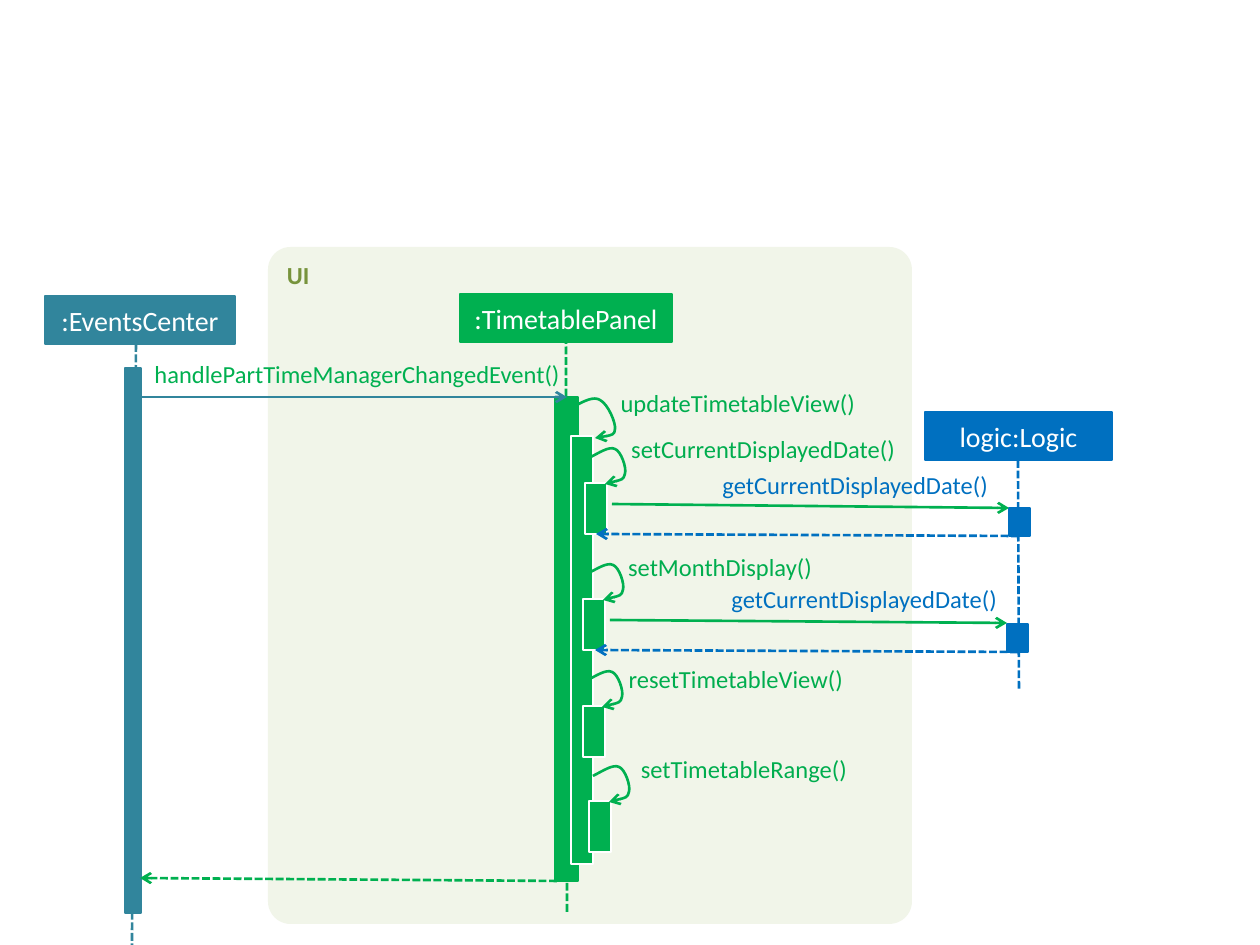
"""Build a sequence diagram of how the timetable panel refreshes its view."""
from lxml import etree
from pptx import Presentation
from pptx import util as u
from pptx.dml.color import RGBColor
from pptx.enum import dml, shapes, text
from pptx.oxml.ns import qn

PX = 914400 / 126
GREEN = RGBColor(0x00, 0xB0, 0x50)
LABEL_GREEN = RGBColor(0x00, 0xAD, 0x4E)
BLUE = RGBColor(0x00, 0x70, 0xC0)
TEAL = RGBColor(0x31, 0x85, 0x9C)
OLIVE = RGBColor(0x77, 0x93, 0x3C)
PALE = RGBColor(0xF1, 0xF5, 0xE9)
WHITE = RGBColor(0xFF, 0xFF, 0xFF)

deck = Presentation()
deck.slide_width, deck.slide_height = u.Inches(10), u.Inches(7.5)
page = deck.slides.add_slide(deck.slide_layouts[6])


def add_block(kind, bounds, fill, outline=None, width=0.75):
    block = page.shapes.add_shape(kind, *[round(v * PX) for v in bounds])
    block.shadow.inherit = False
    block.fill.solid()
    block.fill.fore_color.rgb = fill
    if outline is None:
        block.line.fill.background()
    else:
        block.line.color.rgb = outline
        block.line.width = u.Pt(width)
    return block


def write(shape, words, size, color, align):
    para = shape.text_frame.paragraphs[0]
    para.text = words
    para.alignment = align
    para.font.name = "Calibri"
    para.font.size = u.Pt(size)
    para.font.color.rgb = color
    return para


RECT = shapes.MSO_SHAPE.RECTANGLE
panel = add_block(shapes.MSO_SHAPE.ROUNDED_RECTANGLE, (268, 247, 644, 677), PALE)
panel.adjustments[0] = 0.035
panel.text_frame.vertical_anchor = text.MSO_ANCHOR.TOP
write(panel, "UI", 14, OLIVE, text.PP_ALIGN.LEFT).font.bold = True

for name, bounds, color in [
    (":EventsCenter", (45, 296, 190, 48), TEAL),
    (":TimetablePanel", (460, 294, 212, 48), GREEN),
    ("logic:Logic", (925, 412, 187, 48), BLUE),
]:
    participant = add_block(RECT, bounds, color, color, 1.5)
    participant.text_frame.vertical_anchor = text.MSO_ANCHOR.MIDDLE
    participant.text_frame.word_wrap = False
    write(participant, name, 16, WHITE, text.PP_ALIGN.CENTER)

lifelines = [
    (1018, 460, 1019, 689, BLUE, True, False),
    (566, 336, 567, 913, GREEN, True, False),
    (136, 344, 132, 945, TEAL, True, False),
]
messages = [
    (136, 397, 567, 397, TEAL, False, True),
    (612, 504, 1009, 508, GREEN, False, True),
    (1019, 536, 596, 534, BLUE, True, True),
    (610, 620, 1007, 623, GREEN, False, True),
    (1018, 652, 595, 650, BLUE, True, True),
    (557, 881, 140, 878, GREEN, True, True),
]
bars = [
    (1009, 508, 21, 28, BLUE, BLUE),
    (1007, 624, 21, 28, BLUE, BLUE),
    (555, 397, 23, 484, GREEN, GREEN),
    (125, 368, 16, 545, TEAL, TEAL),
    (571, 436, 22, 428, GREEN, WHITE),
    (585, 483, 22, 51, GREEN, WHITE),
    (583, 599, 22, 51, GREEN, WHITE),
    (583, 706, 22, 51, GREEN, WHITE),
    (589, 801, 22, 51, GREEN, WHITE),
]
for layer in (lifelines, bars, messages):
    if layer is bars:
        for left, top, width, height, fill, outline in bars:
            add_block(RECT, (left, top, width, height), fill, outline)
        continue
    for x1, y1, x2, y2, color, dashed, arrow in layer:
        line = page.shapes.add_connector(
            shapes.MSO_CONNECTOR.STRAIGHT, *[round(v * PX) for v in (x1, y1, x2, y2)]
        )
        line.line.color.rgb = color
        line.line.width = u.Pt(1.5)
        if dashed:
            line.line.dash_style = dml.MSO_LINE.SQUARE_DOT
        if arrow:
            etree.SubElement(line.line._get_or_add_ln(), qn("a:tailEnd"), type="arrow")
        etree.SubElement(line._element.spPr, qn("a:effectLst"))

WIDE_LOOP = [(10, -1), (20, -3), (20, -9), (21, -15), (13, -34), (5, -38),
             (-1, -42), (-11, -37), (-20, -32)]
SMALL_LOOP = [(9, -2), (19, -4), (20, -10), (22, -16), (16, -33), (10, -35),
              (4, -38), (-6, -31), (-16, -26)]
for x, y, offsets in [
    (595, 438, WIDE_LOOP),
    (605, 484, SMALL_LOOP),
    (603, 600, SMALL_LOOP),
    (602, 707, SMALL_LOOP),
    (609, 802, SMALL_LOOP),
]:
    builder = page.shapes.build_freeform(x, y, scale=PX)
    builder.add_line_segments([(x + dx, y + dy) for dx, dy in offsets], close=False)
    loop = builder.convert_to_shape()
    loop.shadow.inherit = False
    loop.fill.background()
    loop.line.color.rgb = GREEN
    loop.line.width = u.Pt(1.5)
    etree.SubElement(loop.line._get_or_add_ln(), qn("a:headEnd"), type="arrow")
    outline = next(loop._element.iter(qn("a:path")))
    segments = outline.findall(qn("a:lnTo"))
    for first in range(0, len(segments), 3):
        curve = etree.SubElement(outline, qn("a:cubicBezTo"))
        for segment in segments[first:first + 3]:
            curve.append(segment[0])
            outline.remove(segment)

event = page.shapes.add_textbox(*[round(v * PX) for v in (142, 353, 436, 43)])
event.text_frame.word_wrap = False
write(event, "handlePartTimeManagerChangedEvent()", 14, GREEN, text.PP_ALIGN.LEFT)

for words, left, top, width, color in [
    ("updateTimetableView()", 582, 388, 273, LABEL_GREEN),
    ("setCurrentDisplayedDate()", 609, 434, 286, LABEL_GREEN),
    ("getCurrentDisplayedDate()", 708, 470, 280, BLUE),
    ("setMonthDisplay()", 599, 552, 213, LABEL_GREEN),
    ("getCurrentDisplayedDate()", 695, 584, 302, BLUE),
    ("resetTimetableView()", 604, 664, 239, LABEL_GREEN),
    ("setTimetableRange()", 614, 754, 233, LABEL_GREEN),
]:
    label = page.shapes.add_textbox(*[round(v * PX) for v in (left, top, width, 30)])
    frame = label.text_frame
    frame.word_wrap = True
    frame.margin_left = frame.margin_right = frame.margin_top = frame.margin_bottom = 0
    write(label, words, 14, color, text.PP_ALIGN.RIGHT)

deck.save("out.pptx")
